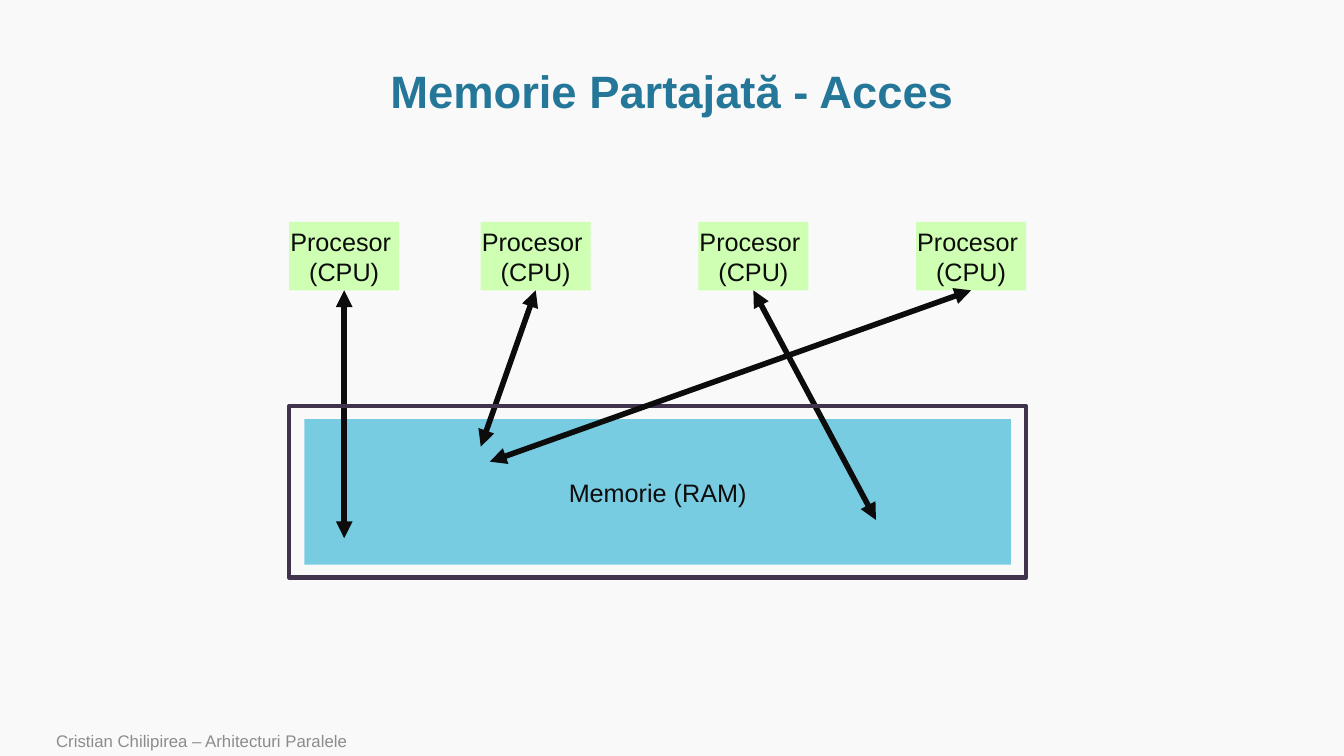
from dataclasses import dataclass

from lxml.etree import SubElement
from pptx import Presentation
from pptx.dml.color import RGBColor
from pptx.enum.shapes import MSO_CONNECTOR as Connector, MSO_SHAPE as Preset
from pptx.enum.text import MSO_ANCHOR as Anchor, MSO_AUTO_SIZE as AutoSize, PP_ALIGN as Align
from pptx.oxml.ns import qn
from pptx.util import Pt


@dataclass(frozen=True)
class Theme:
    """Colours, type sizes and line widths of the slide."""
    font: str = "Arial"
    background: str = "F9F9F9"
    title: str = "247798"
    ink: str = "0C0C0C"
    processor: str = "CFFFB3"
    memory: str = "78CCE2"
    frame: str = "3F334D"
    footer: str = "8C8C8C"
    title_size: float = 32.4
    label_size: float = 18
    footer_size: float = 12
    arrow_width: float = 4
    frame_width: float = 3


THEME = Theme()


def write(shape, lines, size, color, wrap=True, anchor=Anchor.MIDDLE, **paragraph_format):
    """Fill a shape with formatted paragraphs, one for each line."""
    text_frame = shape.text_frame
    frame_format = {"auto_size": AutoSize.NONE, "word_wrap": wrap, "vertical_anchor": anchor}
    for name, value in frame_format.items():
        setattr(text_frame, name, value)
    text_frame.text = "\n".join(lines)
    font_format = {"name": THEME.font, "size": Pt(size)}
    for paragraph in text_frame.paragraphs:
        for name, value in paragraph_format.items():
            setattr(paragraph, name, value)
        for run in paragraph.runs:
            for name, value in font_format.items():
                setattr(run.font, name, value)
            run.font.color.rgb = RGBColor.from_string(color)


def add_block(slide, box, color, lines):
    """Add a filled rectangle without outline, with a centred label."""
    block = slide.shapes.add_shape(Preset.RECTANGLE, *map(Pt, box))
    block.shadow.inherit = False
    block.fill.solid()
    block.fill.fore_color.rgb = RGBColor.from_string(color)
    block.line.fill.background()
    write(block, lines, THEME.label_size, THEME.ink, wrap=False, alignment=Align.CENTER)
    return block


def add_frame(slide, box):
    """Add the unfilled outline around the memory."""
    frame = slide.shapes.add_shape(Preset.RECTANGLE, *map(Pt, box))
    frame.shadow.inherit = False
    frame.fill.background()
    frame.line.color.rgb = RGBColor.from_string(THEME.frame)
    frame.line.width = Pt(THEME.frame_width)


def add_access_arrow(slide, processor, x, y):
    """Join the bottom of a processor to a memory place with a two-way arrow."""
    arrow = slide.shapes.add_connector(Connector.STRAIGHT, 0, 0, Pt(x), Pt(y))
    arrow.begin_connect(processor, 2)
    arrow.line.color.rgb = RGBColor.from_string(THEME.ink)
    arrow.line.width = Pt(THEME.arrow_width)
    line = arrow.line._get_or_add_ln()
    for end in ("a:headEnd", "a:tailEnd"):
        SubElement(line, qn(end), type="triangle")
    SubElement(arrow._element.spPr, qn("a:effectLst"))


def add_title(slide, box, text):
    """Move and format the title placeholder."""
    title = slide.shapes.title
    for name, value in zip(("left", "top", "width", "height"), box):
        setattr(title, name, Pt(value))
    write(title, [text], THEME.title_size, THEME.title, alignment=Align.CENTER, line_spacing=0.9)
    for run in title.text_frame.paragraphs[0].runs:
        run.font.bold = True


def add_memory_diagram(slide, box):
    """Draw the processors, the shared memory and the accesses between them."""
    left, top, width, height = box
    processor_width, processor_height = 78.5, 49
    frame_height, inset_x, inset_y = 122.4, 10.8, 9.2
    frame_top = top + height - frame_height
    memory_box = (left + inset_x, frame_top + inset_y, width - 2 * inset_x, frame_height - 2 * inset_y)
    add_block(slide, memory_box, THEME.memory, ["Memorie (RAM)"])

    offsets = (0, 136.8, 292.3, width - processor_width)
    processors = [
        add_block(slide, (left + offset, top, processor_width, processor_height),
                  THEME.processor, ["Procesor ", "(CPU)"])
        for offset in offsets
    ]
    targets = ((processor_width / 2, 226), (136.8, 160.6), (419.1, 213), (143.3, 171.4))
    accesses = list(zip(processors, targets))
    for processor, (x, y) in accesses[:-1]:
        add_access_arrow(slide, processor, left + x, top + y)
    add_frame(slide, (left, frame_top, width, frame_height))
    processor, (x, y) = accesses[-1]
    add_access_arrow(slide, processor, left + x, top + y)


def add_footer(slide, box, text):
    """Add the course line at the bottom of the slide."""
    footer = slide.shapes.add_textbox(*map(Pt, box))
    write(footer, [text], THEME.footer_size, THEME.footer, anchor=Anchor.BOTTOM)


def main():
    """Build and save the presentation."""
    presentation = Presentation()
    presentation.slide_width, presentation.slide_height = Pt(960), Pt(540)
    slide = presentation.slides.add_slide(presentation.slide_layouts[5])
    slide.background.fill.solid()
    slide.background.fill.fore_color.rgb = RGBColor.from_string(THEME.background)
    add_title(slide, (144.7, 49, 670.3, 36), "Memorie Partajată - Acces")
    add_memory_diagram(slide, (206.6, 158.4, 526.3, 254.2))
    add_footer(slide, (33, 520, 707, 20), "Cristian Chilipirea – Arhitecturi Paralele")
    presentation.save("out.pptx")


if __name__ == "__main__":
    main()
